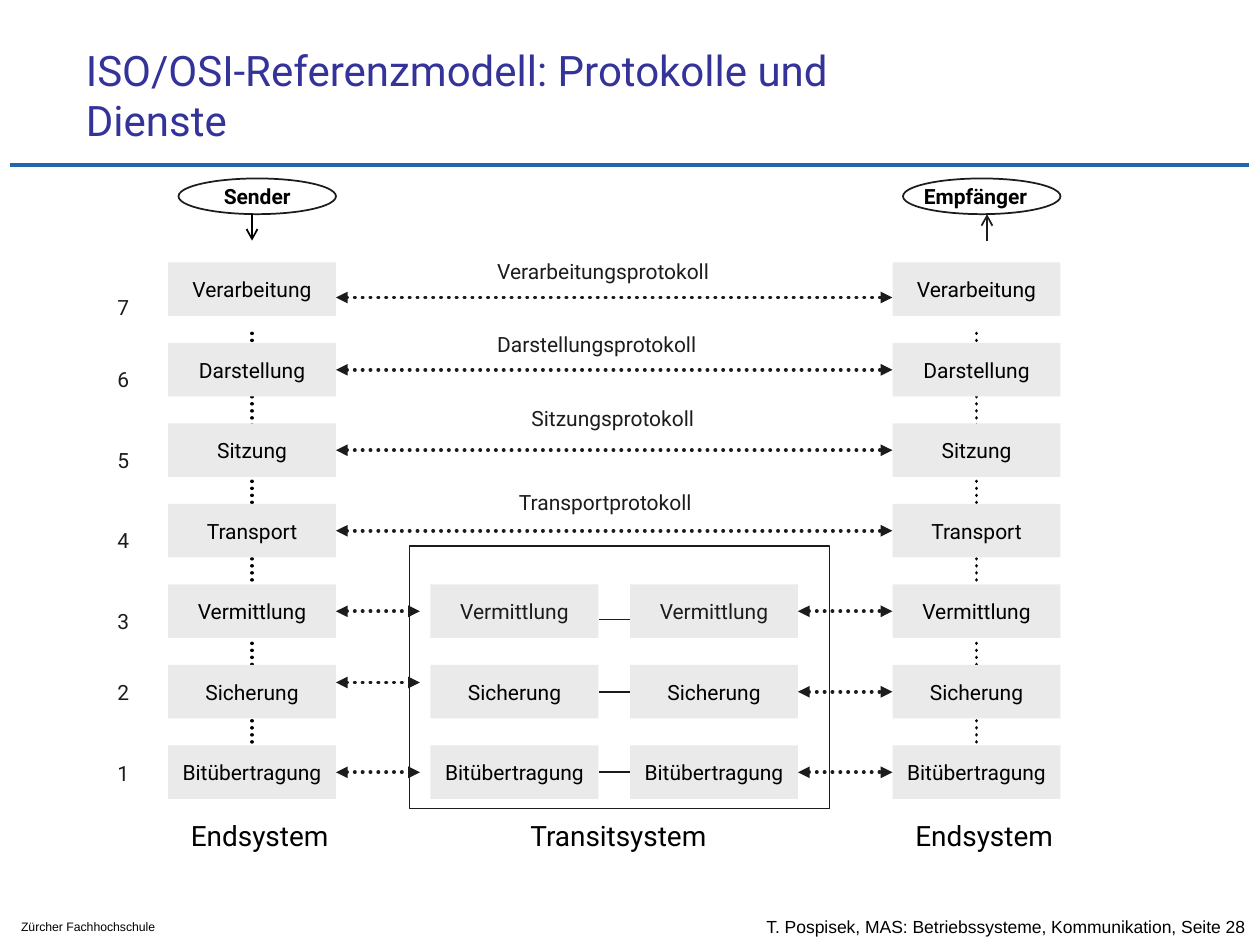
from dataclasses import dataclass

from lxml.etree import SubElement
from pptx import Presentation
from pptx.dml.color import RGBColor
from pptx.enum.dml import MSO_LINE_DASH_STYLE as Dash
from pptx.enum.shapes import MSO_CONNECTOR as Connector, MSO_SHAPE as Preset
from pptx.enum.text import MSO_ANCHOR as Anchor, MSO_AUTO_SIZE as AutoSize, PP_ALIGN as Align
from pptx.oxml.ns import qn
from pptx.util import Pt

TOP, LEFT, BOTTOM, RIGHT = range(4)


@dataclass(frozen=True)
class Theme:
    title: RGBColor = RGBColor(0x33, 0x33, 0x99)
    rule: RGBColor = RGBColor(0x22, 0x66, 0xAB)
    black: RGBColor = RGBColor(0, 0, 0)
    ink: RGBColor = RGBColor(0x1C, 0x1C, 0x1C)
    box: RGBColor = RGBColor(0xEA, 0xEA, 0xEA)
    white: RGBColor = RGBColor(0xFF, 0xFF, 0xFF)
    body_font: str = "Roboto"
    footer_font: str = "Arial"
    title_size: float = 24
    system_size: float = 16
    body_size: float = 12
    footer_size: float = 10
    school_size: float = 7


def write_text(shape, text, *, font, size, color, bold=False, align=Align.LEFT,
               anchor=Anchor.TOP, wrap=False, grow=False, insets=(7.2, 3.6, 7.2, 3.6)):
    frame = shape.text_frame
    frame.auto_size = AutoSize.SHAPE_TO_FIT_TEXT if grow else AutoSize.NONE
    frame.word_wrap = wrap
    frame.vertical_anchor = anchor
    frame.margin_left, frame.margin_top, frame.margin_right, frame.margin_bottom = map(Pt, insets)
    paragraph = frame.paragraphs[0]
    paragraph.alignment = align
    run = paragraph.add_run()
    run.text = text
    run.font.name = font
    run.font.size = Pt(size)
    run.font.bold = bold
    run.font.color.rgb = color


class Diagram:
    def __init__(self, slide, theme):
        self.slide = slide
        self.theme = theme

    def text(self, text, left, top, width, height, **text_format):
        shape = self.slide.shapes.add_textbox(Pt(left), Pt(top), Pt(width), Pt(height))
        write_text(shape, text, **text_format)

    def shape(self, preset, left, top, width, height, fill, outline=None):
        shape = self.slide.shapes.add_shape(preset, Pt(left), Pt(top), Pt(width), Pt(height))
        shape.shadow.inherit = False
        shape.fill.solid()
        shape.fill.fore_color.rgb = fill
        if outline is None:
            shape.line.fill.background()
        else:
            shape.line.color.rgb = outline
            shape.line.width = Pt(1)
        return shape

    def layer_box(self, text, left, top, color):
        shape = self.shape(Preset.RECTANGLE, left, top, 96, 30.6, self.theme.box)
        write_text(shape, text, font=self.theme.body_font, size=self.theme.body_size,
                   color=color, align=Align.CENTER, anchor=Anchor.MIDDLE)
        return shape

    def label(self, text, left, top, width, height, size, color, wrap=False):
        shape = self.shape(Preset.RECTANGLE, left, top, width, height, self.theme.white)
        write_text(shape, text, font=self.theme.body_font, size=size, color=color,
                   wrap=wrap, grow=True)

    def role(self, text, left, **text_format):
        shape = self.shape(Preset.OVAL, left, 102, 90, 20.4, self.theme.white, self.theme.ink)
        write_text(shape, text, font=self.theme.body_font, size=self.theme.body_size,
                   color=self.theme.black, bold=True, align=Align.CENTER, **text_format)

    def frame(self, left, top, width, height):
        shape = self.shape(Preset.RECTANGLE, left, top, width, height,
                           self.theme.white, self.theme.ink)
        color = shape._element.spPr.find(qn("a:solidFill"))[0]
        SubElement(color, qn("a:alpha")).set("val", "51000")

    def line(self, start, end, color, width, dotted=False, head=None, tail=None):
        connector = self.slide.shapes.add_connector(Connector.STRAIGHT, *map(Pt, start + end))
        connector.line.color.rgb = color
        connector.line.width = Pt(width)
        properties = connector._element.spPr
        outline = properties.find(qn("a:ln"))
        if dotted:
            connector.line.dash_style = Dash.ROUND_DOT
            outline.set("cap", "rnd")
        for name, kind in (("a:headEnd", head), ("a:tailEnd", tail)):
            if kind:
                SubElement(outline, qn(name)).set("type", kind)
        SubElement(properties, qn("a:effectLst"))
        return connector

    def protocol_arrow(self, left, right, y):
        return self.line((left, y), (right, y), self.theme.ink, 2.25, dotted=True,
                         head="triangle", tail="triangle")


LAYERS = {7: "Verarbeitung", 6: "Darstellung", 5: "Sitzung", 4: "Transport",
          3: "Vermittlung", 2: "Sicherung", 1: "Bitübertragung"}
LAYER_TOP = {level: 150 + 46 * (7 - level) for level in LAYERS}
LAYER_MIDDLE = {level: top + 15.3 for level, top in LAYER_TOP.items()}
NUMBER_TOP = {7: 165, 6: 206, 5: 252, 4: 298, 3: 344, 2: 385, 1: 431}
PROTOCOLS = {7: ("Verarbeitungsprotokoll", 277, 144, 145),
             6: ("Darstellungsprotokoll", 277, 186, 137),
             5: ("Sitzungsprotokoll", 296.6, 228, 112.3),
             4: ("Transportprotokoll", 289.5, 276, 119.5)}
SYSTEMS = (("Endsystem", 102, 96), ("Transitsystem", 296, 118), ("Endsystem", 516, 96))


def draw_end_system(diagram, left):
    theme = diagram.theme
    middle = left + 48
    stack = diagram.line((middle, 190.5), (middle, LAYER_TOP[1]), theme.black, 2, dotted=True)
    boxes = {level: diagram.layer_box(name, left, LAYER_TOP[level], theme.black)
             for level, name in LAYERS.items()}
    stack.end_connect(boxes[1], TOP)
    return boxes


def draw_protocols(diagram, sender, receiver):
    for level, (name, left, top, width) in PROTOCOLS.items():
        if level == 7:
            diagram.protocol_arrow(192, 510, 170)
        else:
            arrow = diagram.protocol_arrow(192, 510, LAYER_MIDDLE[level])
            arrow.begin_connect(sender[level], RIGHT)
            arrow.end_connect(receiver[level], LEFT)
        diagram.label(name, left, top, width, 21.6, diagram.theme.body_size, diagram.theme.ink)


def draw_transit_system(diagram, sender, receiver):
    theme = diagram.theme
    diagram.frame(234, 312, 240, 150)
    for level in (3, 2, 1):
        color = theme.ink if level == 3 else theme.black
        inbound, outbound = (diagram.layer_box(LAYERS[level], left, LAYER_TOP[level], color)
                             for left in (246, 360))
        middle = LAYER_MIDDLE[level]
        arrow = diagram.protocol_arrow(192, 240, 390 if level == 2 else middle)
        if level != 2:
            arrow.begin_connect(sender[level], RIGHT)
        arrow = diagram.protocol_arrow(456, 510, middle)
        arrow.begin_connect(outbound, RIGHT)
        arrow.end_connect(receiver[level], LEFT)
        link_y = 354 if level == 3 else middle
        link = diagram.line((342, link_y), (360, link_y), theme.ink, 1)
        if level != 3:
            link.begin_connect(inbound, RIGHT)
            link.end_connect(outbound, LEFT)


def main():
    presentation = Presentation()
    presentation.slide_width, presentation.slide_height = Pt(720), Pt(540)
    theme = Theme()
    diagram = Diagram(presentation.slides.add_slide(presentation.slide_layouts[6]), theme)

    diagram.line((6, 94.3), (714, 94.3), theme.rule, 2.5)
    diagram.text("T. Pospisek, MAS: Betriebssysteme, Kommunikation, Seite 28",
                 430.8, 518.4, 289, 21.6, font=theme.footer_font, size=theme.footer_size,
                 color=theme.black, anchor=Anchor.MIDDLE)
    diagram.text("Zürcher Fachhochschule", 5, 522, 124, 15.8, font=theme.footer_font,
                 size=theme.school_size, color=theme.black, wrap=True, grow=True)
    diagram.text("ISO/OSI-Referenzmodell: Protokolle und Dienste", 42, 20, 519, 66.4,
                 font=theme.body_font, size=theme.title_size, color=theme.title,
                 anchor=Anchor.BOTTOM, wrap=True)

    sender = draw_end_system(diagram, 96)
    receiver = draw_end_system(diagram, 510)
    draw_protocols(diagram, sender, receiver)
    draw_transit_system(diagram, sender, receiver)

    for level, top in NUMBER_TOP.items():
        diagram.label(str(level), 60, top, 27, 21.6, theme.body_size, theme.ink, wrap=True)
    diagram.role("Sender", 102, anchor=Anchor.MIDDLE)
    diagram.line((144, 122.4), (144, 137.5), theme.black, 1, tail="arrow")
    diagram.role("Empfänger", 516, insets=(0, 0, 7.2, 3.6))
    diagram.line((564, 122.4), (564, 137.5), theme.ink, 1, head="arrow")
    for name, left, width in SYSTEMS:
        diagram.label(name, left, 464.4, width, 26.6, theme.system_size, theme.black)

    presentation.save("out.pptx")


if __name__ == "__main__":
    main()
